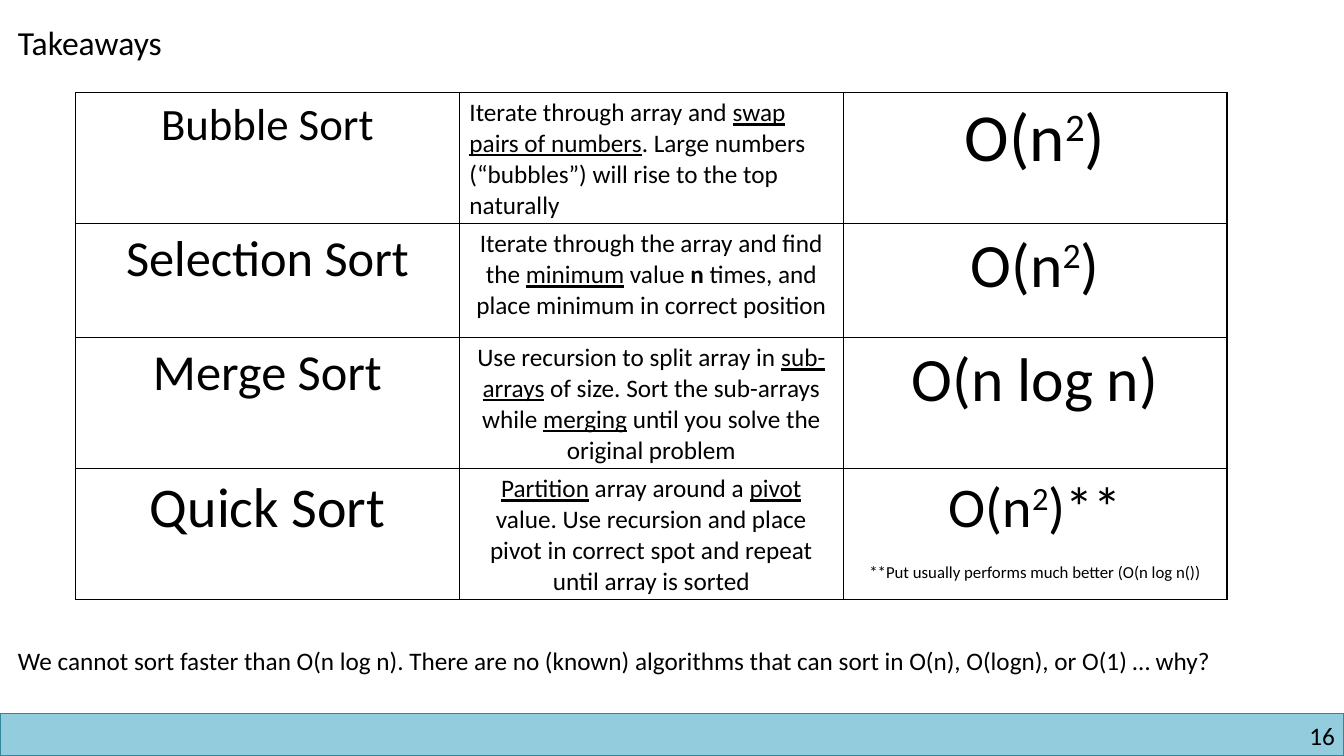
from lxml.etree import SubElement
from pptx import Presentation
from pptx.dml.color import RGBColor
from pptx.enum.shapes import MSO_SHAPE as Shape
from pptx.enum.text import MSO_AUTO_SIZE as AutoSize, PP_ALIGN as Align
from pptx.oxml.ns import qn
from pptx.util import Inches, Pt

COLORS = {"ink": "000000", "paper": "FFFFFF", "bar": "93CDDD", "bar_edge": "31859C"}
FONT = "Calibri"
ROW_HEIGHTS = [1.3, 1.13, 1.3, 1.3]
PLAIN, UNDERLINE, BOLD, SUPER = "plain", "underline", "bold", "super"

QUADRATIC = [("O(n", PLAIN), ("2", SUPER), (")", PLAIN)]
SORTS = [
    {
        "name": ("Bubble Sort", 32),
        "idea": [
            ("Iterate through array and ", PLAIN),
            ("swap pairs of numbers", UNDERLINE),
            (". Large numbers (“bubbles”) will rise to the top naturally", PLAIN),
        ],
        "idea_align": Align.LEFT,
        "cost": (QUADRATIC, 48),
    },
    {
        "name": ("Selection Sort", 36),
        "idea": [
            ("Iterate through the array and find the ", PLAIN),
            ("minimum", UNDERLINE),
            (" value ", PLAIN),
            ("n", BOLD),
            (" times, and place minimum in correct position", PLAIN),
        ],
        "cost": (QUADRATIC, 44),
    },
    {
        "name": ("Merge Sort", 36),
        "idea": [
            ("Use recursion to split array in ", PLAIN),
            ("sub-arrays", UNDERLINE),
            (" of size. Sort the sub-arrays while ", PLAIN),
            ("merging", UNDERLINE),
            (" until you solve the original problem", PLAIN),
        ],
        "cost": ([("O(n log n)", PLAIN)], 44),
    },
    {
        "name": ("Quick Sort", 40),
        "idea": [
            ("Partition", UNDERLINE),
            (" array around a ", PLAIN),
            ("pivot", UNDERLINE),
            (" value. Use recursion and place pivot in correct spot"
             " and repeat until array is sorted", PLAIN),
        ],
        "cost": ([("O(n", PLAIN), ("2", SUPER), (")**", PLAIN)], 40),
        "note": "**Put usually performs much better (O(n log n())",
    },
]


def rgb(name):
    return RGBColor.from_string(COLORS[name])


def write(paragraph, pieces, size, align=Align.LEFT):
    paragraph.alignment = align
    for text, style in pieces:
        run = paragraph.add_run()
        run.text = text
        font = run.font
        font.name, font.size = FONT, Pt(size)
        font.color.rgb = rgb("ink")
        font.bold = style == BOLD
        font.underline = style == UNDERLINE
        if style == SUPER:
            run._r.get_or_add_rPr().set("baseline", "30000")


def add_line(slide, box, text, size):
    frame = slide.shapes.add_textbox(*map(Inches, box)).text_frame
    frame.word_wrap = False
    frame.auto_size = AutoSize.SHAPE_TO_FIT_TEXT
    write(frame.paragraphs[0], [(text, PLAIN)], size)


def style_cell(cell):
    properties = cell._tc.get_or_add_tcPr()
    for side in ("lnL", "lnR", "lnT", "lnB"):
        border = SubElement(properties, qn(f"a:{side}"), w=str(Pt(1)))
        paint = SubElement(border, qn("a:solidFill"))
        SubElement(paint, qn("a:srgbClr"), val=COLORS["ink"])
    cell.fill.solid()
    cell.fill.fore_color.rgb = rgb("paper")


def add_sort_table(slide, box):
    table = slide.shapes.add_table(len(SORTS), 3, *map(Inches, box)).table
    table.first_row = table.horz_banding = False
    for row, height in zip(table.rows, ROW_HEIGHTS):
        row.height = Inches(height)
    for cell in table.iter_cells():
        style_cell(cell)
    for row, sort in zip(table.rows, SORTS):
        name, idea, cost = (cell.text_frame for cell in row.cells)
        title, title_size = sort["name"]
        write(name.paragraphs[0], [(title, PLAIN)], title_size, Align.CENTER)
        write(idea.paragraphs[0], sort["idea"], 18, sort.get("idea_align", Align.CENTER))
        write(cost.paragraphs[0], *sort["cost"], Align.CENTER)
        if "note" in sort:
            note = cost.add_paragraph()
            note.space_before = Pt(14.65)
            write(note, [(sort["note"], PLAIN)], 12, Align.CENTER)


def add_footer(slide, box, number):
    left, top, width, height = box
    bar = slide.shapes.add_shape(Shape.RECTANGLE, *map(Inches, box))
    bar.shadow.inherit = False
    bar.fill.solid()
    bar.fill.fore_color.rgb = rgb("bar")
    bar.line.color.rgb = rgb("bar_edge")
    bar.line.width = Pt(1)

    number_box = (left + width - 3.16, top + 0.07, 3.07, 0.3)
    frame = slide.shapes.add_textbox(*map(Inches, number_box)).text_frame
    frame.margin_left = frame.margin_right = frame.margin_top = frame.margin_bottom = 0
    frame.word_wrap = True
    write(frame.paragraphs[0], [(number, PLAIN)], 18, Align.RIGHT)


def main():
    deck = Presentation()
    deck.slide_width, deck.slide_height = Inches(13.33), Inches(7.5)
    slide = deck.slides.add_slide(deck.slide_layouts[6])
    add_footer(slide, (0, 7.08, 13.33, 0.42), "16")
    add_line(slide, (0.08, 0.17, 1.91, 0.5), "Takeaways", 24)
    add_sort_table(slide, (0.75, 0.92, 11.42, sum(ROW_HEIGHTS)))
    add_line(
        slide,
        (0.08, 6.35, 13.49, 0.4),
        "We cannot sort faster than O(n log n). There are no (known) algorithms"
        " that can sort in O(n), O(logn), or O(1) … why?",
        18,
    )
    deck.save("out.pptx")


if __name__ == "__main__":
    main()
